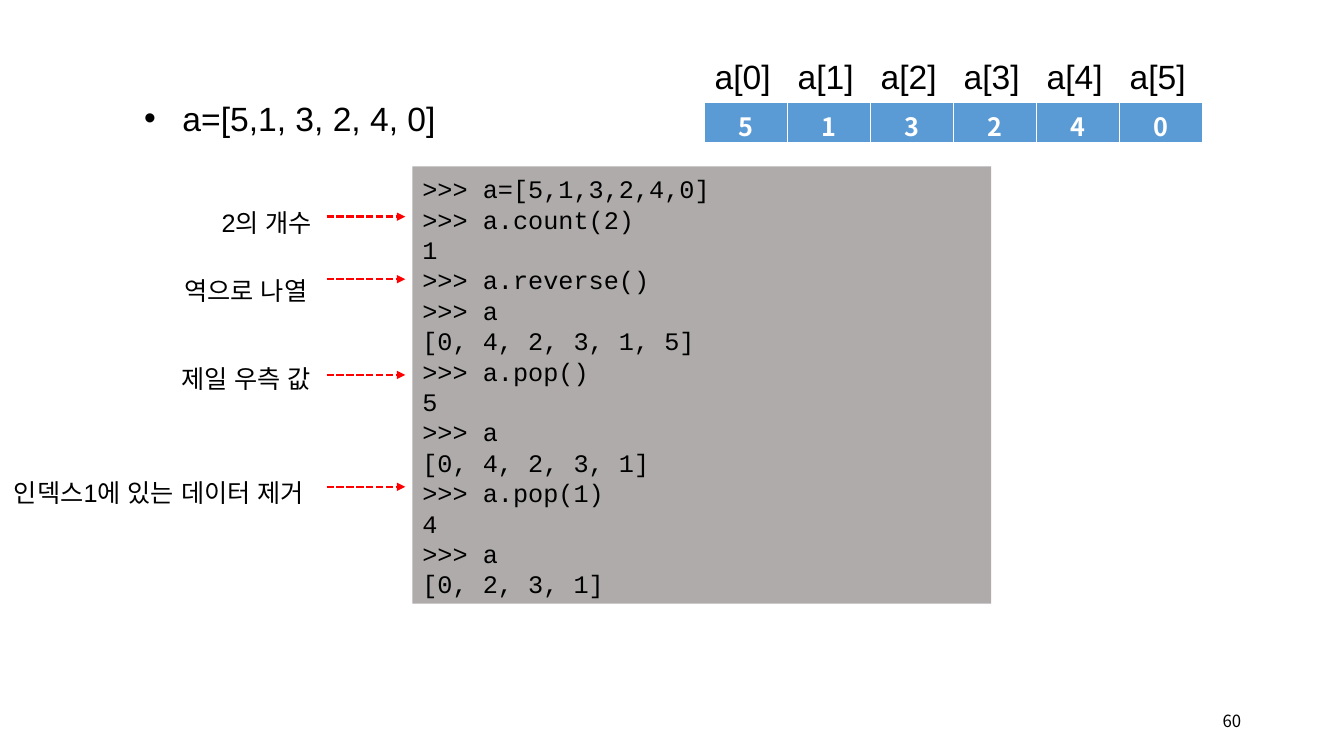
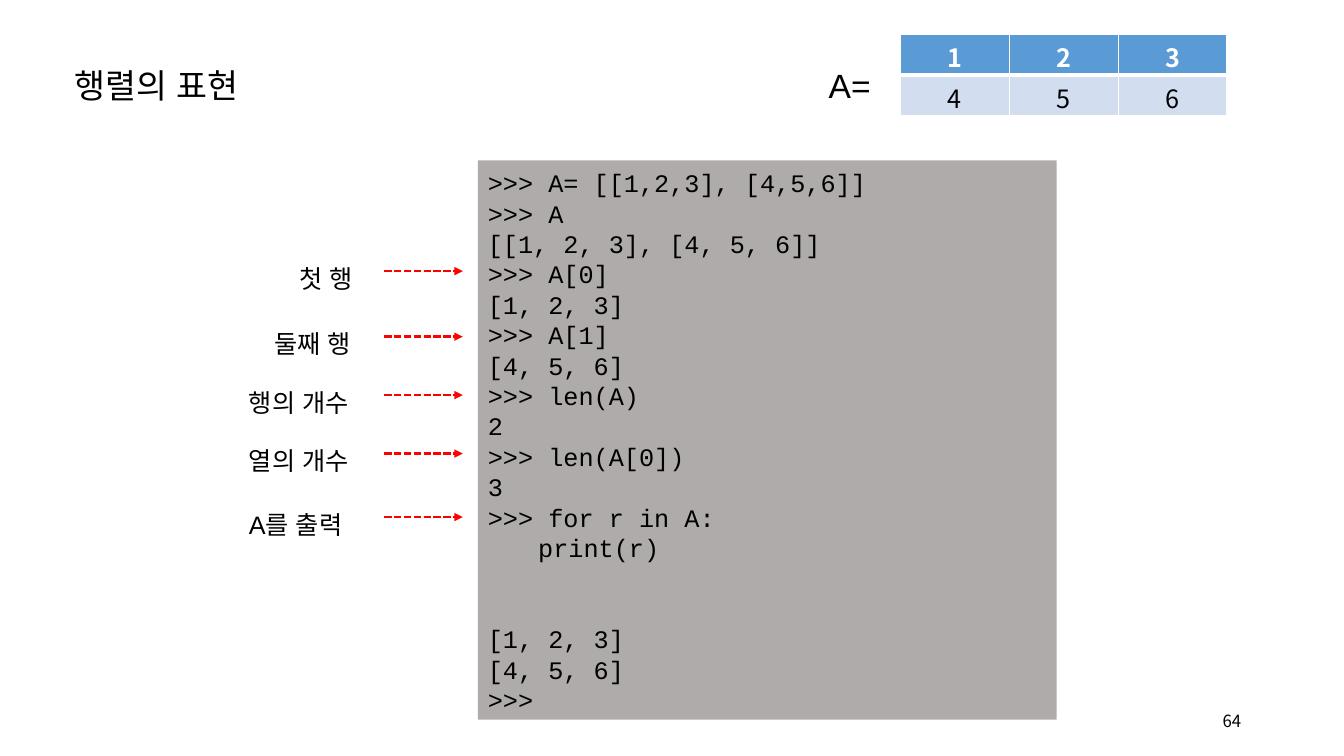
import dataclasses

import lxml.etree
import pptx
import pptx.dml.color
import pptx.enum.dml
import pptx.enum.shapes
import pptx.enum.text
import pptx.oxml.ns
import pptx.util

Inches = pptx.util.Inches
Pt = pptx.util.Pt
Align = pptx.enum.text.PP_ALIGN
Anchor = pptx.enum.text.MSO_ANCHOR
qn = pptx.oxml.ns.qn


@dataclasses.dataclass(frozen=True)
class Theme:
    text: str = "000000"
    paper: str = "FFFFFF"
    panel: str = "AFABAB"
    arrow: str = "FF0000"
    header: str = "5B9BD5"
    band: str = "D2DEEF"
    sans: str = "Arial"
    mono: str = "Courier New"
    table: str = "Noto Sans CJK KR"
    large: float = 24
    normal: float = 18
    small: float = 12
    code_pitch: float = 21.7


@dataclasses.dataclass(frozen=True)
class Box:
    left: float
    top: float
    width: float
    height: float

    def inside(self, left, top, width, height):
        return Box(self.left + left, self.top + top, width, height)

    def lengths(self):
        return [Inches(value) for value in dataclasses.astuple(self)]


THEME = Theme()
FRAME = {"word_wrap": False, "auto_size": pptx.enum.text.MSO_AUTO_SIZE.NONE,
         "vertical_anchor": Anchor.TOP}
LOOSE = {"alignment": Align.LEFT, "line_spacing": 1.5, "space_before": Pt(0)}
NUMBER_BOX = Box(11.93, 6.95, 0.48, 0.4)
LABEL_HEIGHT = 0.56
ARROW_LENGTH = 0.78


def color(value):
    return pptx.dml.color.RGBColor.from_string(value)


def apply(target, formats):
    for name, value in formats.items():
        setattr(target, name, value)


def write(para, text, size, face, para_format, tint=THEME.text, bold=False):
    apply(para, para_format)
    span = para.add_run()
    span.text = text
    apply(span.font, {"size": Pt(size), "name": face, "bold": bold})
    span.font.color.rgb = color(tint)
    east_asian = lxml.etree.SubElement(span.font._element, qn("a:ea"))
    east_asian.set("typeface", face)


def place(shape, box):
    apply(shape, dict(zip(("left", "top", "width", "height"), box.lengths())))


def add_text(page, box, text, size=THEME.large, face=THEME.sans,
             para_format=LOOSE, anchor=Anchor.TOP):
    frame = page.shapes.add_textbox(*box.lengths()).text_frame
    apply(frame, {**FRAME, "vertical_anchor": anchor})
    write(frame.paragraphs[0], text, size, face, para_format)


def fill_placeholder(shape, box, text):
    place(shape, box)
    apply(shape.text_frame, FRAME)
    para = shape.text_frame.paragraphs[0]
    write(para, text, THEME.large, THEME.sans, LOOSE)
    return para


def add_bullet(shape, box, text):
    properties = fill_placeholder(shape, box, text)._p.get_or_add_pPr()
    for name, value in {"marL": 0.38, "indent": -0.38}.items():
        properties.set(name, str(int(Inches(value))))


def add_code(page, box, lines, gaps=None):
    panel = page.shapes.add_shape(
        pptx.enum.shapes.MSO_SHAPE.RECTANGLE, *box.lengths())
    panel.shadow.inherit = False
    panel.fill.solid()
    panel.fill.fore_color.rgb = color(THEME.panel)
    panel.line.fill.background()
    frame = panel.text_frame
    apply(frame, {**FRAME, "word_wrap": True, "margin_top": Inches(0.07)})
    for index, line in enumerate(lines):
        para = frame.add_paragraph() if index else frame.paragraphs[0]
        skipped = (gaps or {}).get(index, 0)
        write(para, line, THEME.normal, THEME.mono, {
            "alignment": Align.LEFT,
            "line_spacing": Pt(THEME.code_pitch),
            "space_before": Pt(skipped * THEME.code_pitch)})


def add_arrow(page, left, top):
    arrow = page.shapes.add_connector(
        pptx.enum.shapes.MSO_CONNECTOR.STRAIGHT, Inches(left), Inches(top),
        Inches(left + ARROW_LENGTH), Inches(top))
    arrow.line.color.rgb = color(THEME.arrow)
    apply(arrow.line, {"width": Pt(1.75),
                       "dash_style": pptx.enum.dml.MSO_LINE.SQUARE_DOT})
    tail = lxml.etree.SubElement(arrow.line._get_or_add_ln(), qn("a:tailEnd"))
    tail.set("type", "triangle")
    lxml.etree.SubElement(arrow._element.spPr, qn("a:effectLst"))


def add_annotations(page, box, arrow_left, notes):
    for text, left, top, width, arrow_top in notes:
        add_text(page, box.inside(left, top, width, LABEL_HEIGHT), text,
                 THEME.normal)
        add_arrow(page, box.left + arrow_left, box.top + arrow_top)


def add_borders(cell, row):
    properties = cell._tc.get_or_add_tcPr()
    widths = {"L": 1, "R": 1, "T": 3 if row else 1, "B": 1 if row else 3}
    for side, width in widths.items():
        border = lxml.etree.SubElement(properties, qn("a:ln" + side))
        border.set("w", str(int(Pt(width))))
        solid = lxml.etree.SubElement(border, qn("a:solidFill"))
        tint = lxml.etree.SubElement(solid, qn("a:srgbClr"))
        tint.set("val", THEME.paper)


def add_values(page, box, rows):
    grid = page.shapes.add_table(
        len(rows), len(rows[0]), *box.lengths()).table
    for row, values in enumerate(rows):
        header = row == 0
        for column, value in enumerate(values):
            cell = grid.cell(row, column)
            add_borders(cell, row)
            cell.fill.solid()
            cell.fill.fore_color.rgb = color(
                THEME.header if header else THEME.band)
            apply(cell, {"margin_top": Inches(0.04), "margin_bottom": 0})
            write(cell.text_frame.paragraphs[0], value, THEME.normal,
                  THEME.table, {"alignment": Align.CENTER},
                  THEME.paper if header else THEME.text, header)


def add_indexed_values(page, box, values):
    step = box.width / len(values)
    for index in range(len(values)):
        add_text(page, box.inside(index * step, -0.71, 0.76, 0.71),
                 f"a[{index}]")
    add_values(page, box, [values])


def add_number(page, number):
    add_text(page, NUMBER_BOX, number, THEME.small, THEME.table,
             {"alignment": Align.RIGHT}, Anchor.MIDDLE)


def build_list_methods(deck):
    page = deck.slides.add_slide(deck.slide_layouts[1])
    title = page.shapes.title._element
    title.getparent().remove(title)
    add_bullet(page.placeholders[1], Box(1.33, 0.72, 3.2, 0.71),
               "a=[5,1, 3, 2, 4, 0]")
    add_indexed_values(page, Box(6.99, 1.02, 4.94, 0.41), "513240")
    panel = Box(4.09, 1.65, 5.74, 4.34)
    add_code(page, panel, [
        ">>> a=[5,1,3,2,4,0]",
        ">>> a.count(2)",
        "1",
        ">>> a.reverse()",
        ">>> a",
        "[0, 4, 2, 3, 1, 5]",
        ">>> a.pop()",
        "5",
        ">>> a",
        "[0, 4, 2, 3, 1]",
        ">>> a.pop(1)",
        "4",
        ">>> a",
        "[0, 2, 3, 1]",
    ])
    add_annotations(page, Box(0, panel.top, panel.left, panel.height), 3.24, [
        ("2의 개수", 2.1, 0.21, 1.17, 0.5),
        ("역으로 나열", 1.73, 0.88, 1.53, 1.12),
        ("제일 우측 값", 1.7, 1.76, 1.6, 2.07),
        ("인덱스1에 있는 데이터 제거", 0.04, 2.89, 3.33, 3.18),
    ])
    add_number(page, "60")


def build_matrix(deck):
    page = deck.slides.add_slide(deck.slide_layouts[5])
    fill_placeholder(page.shapes.title, Box(0.64, 0.39, 1.98, 0.71),
                     "행렬의 표현")
    add_text(page, Box(8.12, 0.39, 0.62, 0.71), "A=")
    add_values(page, Box(8.93, 0.34, 3.24, 0.81), ["123", "456"])
    panel = Box(4.74, 1.59, 5.74, 5.55)
    add_code(page, panel, [
        ">>> A= [[1,2,3], [4,5,6]]",
        ">>> A",
        "[[1, 2, 3], [4, 5, 6]]",
        ">>> A[0]",
        "[1, 2, 3]",
        ">>> A[1]",
        "[4, 5, 6]",
        ">>> len(A)",
        "2",
        ">>> len(A[0])",
        "3",
        ">>> for r in A:",
        "\tprint(r)",
        "[1, 2, 3]",
        "[4, 5, 6]",
        ">>>",
    ], gaps={13: 2})
    add_annotations(page, Box(0, panel.top, panel.left, panel.height), 3.81, [
        ("첫 행", 2.87, 0.82, 0.78, 1.1),
        ("둘째 행", 2.62, 1.47, 1.03, 1.75),
        ("행의 개수", 2.37, 2.05, 1.28, 2.33),
        ("열의 개수", 2.37, 2.63, 1.28, 2.91),
        ("A를 출력", 2.37, 3.26, 1.2, 3.54),
    ])
    add_number(page, "64")


def main():
    deck = pptx.Presentation()
    apply(deck, {"slide_width": Inches(13.33), "slide_height": Inches(7.5)})
    build_list_methods(deck)
    build_matrix(deck)
    deck.save("out.pptx")


if __name__ == "__main__":
    main()
